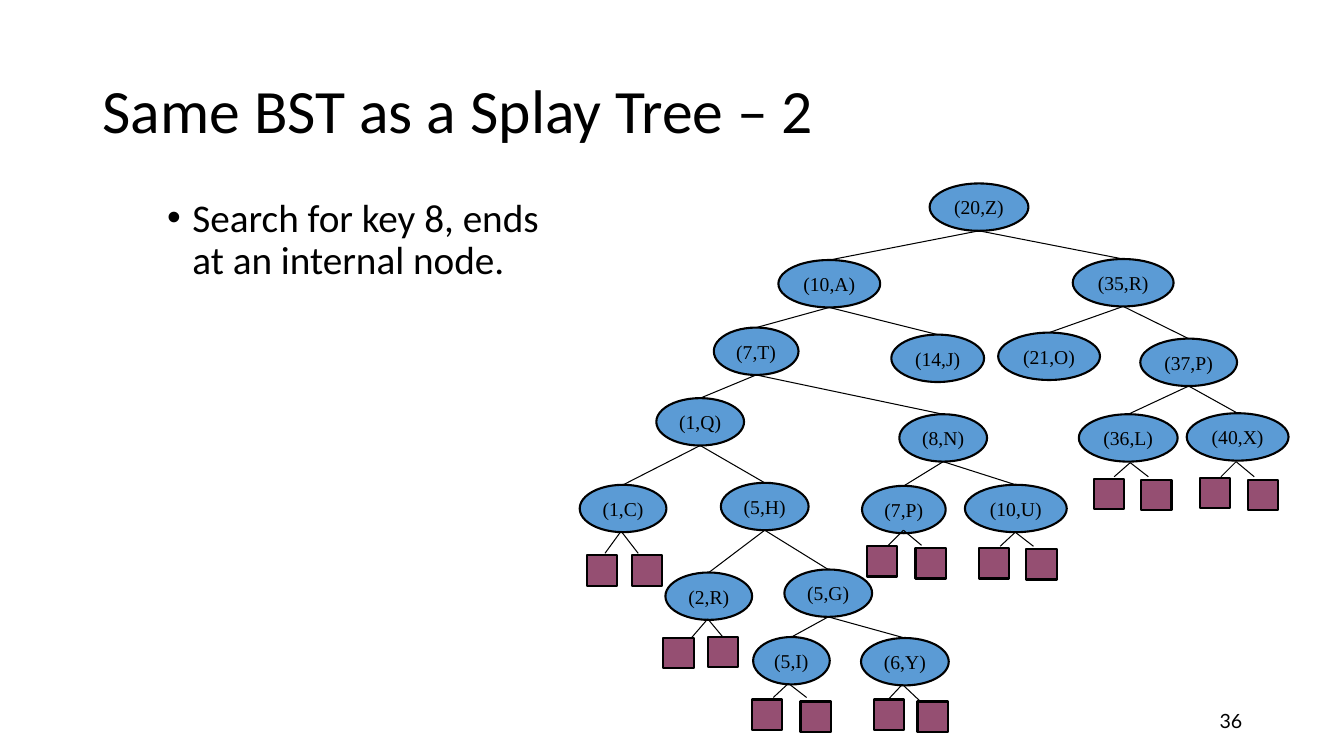
import pptx
import pptx.util
import pptx.dml.color
import pptx.enum.shapes
import pptx.enum.text
import lxml.etree

Inches = pptx.util.Inches
Pt = pptx.util.Pt
RGBColor = pptx.dml.color.RGBColor
Shape = pptx.enum.shapes.MSO_SHAPE
Anchor = pptx.enum.text.MSO_ANCHOR
Align = pptx.enum.text.PP_ALIGN

BLACK = RGBColor(0x00, 0x00, 0x00)
NODE_BLUE = RGBColor(0x5B, 0x9B, 0xD5)
LEAF_PLUM = RGBColor(0x95, 0x4F, 0x72)

SLIDE_SIZE = (13.33, 7.5)
NODE_HEIGHT = 0.47
LEAF_SIZE = 0.3

TEXTS = {
    "title": ("Same BST as a Splay Tree – 2", (0.92, 0.4, 11.5, 1.45)),
    "bullet": ("Search for key 8, ends at an internal node.", (1.56, 1.92, 3.91, 4.5)),
    "number": ("36", (9.42, 6.95, 3, 0.4)),
}
FORMATS = {
    "title": {
        "frame": {"word_wrap": True, "vertical_anchor": Anchor.MIDDLE},
        "paragraph": {"line_spacing": 0.9},
        "font": {"size": Pt(44), "name": "Calibri"},
    },
    "bullet": {
        "frame": {"word_wrap": True, "vertical_anchor": Anchor.TOP},
        "paragraph": {"line_spacing": 0.9, "space_before": Pt(10)},
        "font": {"size": Pt(28), "name": "Calibri"},
    },
    "number": {
        "frame": {"word_wrap": True, "vertical_anchor": Anchor.MIDDLE},
        "paragraph": {"alignment": Align.RIGHT},
        "font": {"size": Pt(14), "name": "Lato"},
    },
    "node": {
        "frame": {"word_wrap": False, "vertical_anchor": Anchor.MIDDLE},
        "paragraph": {"alignment": Align.CENTER},
        "font": {"size": Pt(14), "name": "Times New Roman"},
    },
}

# label: (parent, left, top, width)
NODES = {
    "(20,Z)": (None, 9.22, 1.82, 0.98),
    "(10,A)": ("(20,Z)", 7.72, 2.58, 1.01),
    "(35,R)": ("(20,Z)", 10.64, 2.57, 1),
    "(7,T)": ("(10,A)", 7.08, 3.25, 0.84),
    "(14,J)": ("(10,A)", 8.84, 3.32, 0.92),
    "(21,O)": ("(35,R)", 9.9, 3.3, 1.01),
    "(37,P)": ("(35,R)", 11.31, 3.36, 0.96),
    "(1,Q)": ("(7,T)", 6.51, 3.95, 0.87),
    "(8,N)": ("(7,T)", 8.92, 4.11, 0.87),
    "(36,L)": ("(37,P)", 10.7, 4.11, 0.98),
    "(40,X)": ("(37,P)", 11.77, 4.1, 1.01),
    "(1,C)": ("(1,Q)", 5.75, 4.81, 0.86),
    "(5,H)": ("(1,Q)", 7.15, 4.79, 0.87),
    "(7,P)": ("(8,N)", 8.55, 4.82, 0.83),
    "(10,U)": ("(8,N)", 9.57, 4.81, 1.01),
    "(2,R)": ("(5,H)", 6.6, 5.68, 0.86),
    "(5,G)": ("(5,H)", 7.78, 5.65, 0.87),
    "(5,I)": ("(5,G)", 7.47, 6.32, 0.76),
    "(6,Y)": ("(5,G)", 8.54, 6.33, 0.87),
}

# fork point, then (twig end, leaf corner) for the left and right leaf
LEAF_PAIRS = [
    ((6.16, 5.27), ((6, 5.49), (5.82, 5.51)), ((6.33, 5.49), (6.27, 5.51))),
    ((7.02, 6.14), ((6.83, 6.36), (6.58, 6.33)), ((7.17, 6.32), (7.02, 6.32))),
    ((7.82, 6.78), ((7.67, 6.92), (7.46, 6.94)), ((8, 6.92), (7.94, 6.96))),
    ((8.95, 6.79), ((8.79, 6.96), (8.67, 6.94)), ((9.13, 6.96), (9.1, 6.96))),
    ((12.26, 4.58), ((12.11, 4.73), (11.9, 4.74)), ((12.44, 4.73), (12.38, 4.76))),
    ((11.21, 4.59), ((11.05, 4.73), (10.85, 4.75)), ((11.39, 4.73), (11.32, 4.76))),
    ((10.07, 5.28), ((9.92, 5.42), (9.71, 5.44)), ((10.25, 5.42), (10.18, 5.45))),
    ((8.96, 5.26), ((8.81, 5.41), (8.6, 5.42)), ((9.14, 5.41), (9.08, 5.44))),
]


def inches(lengths):
    return [Inches(length) for length in lengths]


def apply(target, values):
    for name, value in values.items():
        setattr(target, name, value)


def write(shape, text, style):
    formats = FORMATS[style]
    paragraph = shape.text_frame.paragraphs[0]
    run = paragraph.add_run()
    run.text = text
    apply(shape.text_frame, formats["frame"])
    apply(paragraph, formats["paragraph"])
    apply(run.font, formats["font"])
    run.font.color.rgb = BLACK
    return paragraph


def add_bullet(paragraph):
    properties = paragraph._p.get_or_add_pPr()
    properties.set("marL", str(Inches(0.25)))
    properties.set("indent", str(Inches(-0.25)))
    for tag, key, value in (("a:buFont", "typeface", "Arial"), ("a:buChar", "char", "•")):
        lxml.etree.SubElement(properties, pptx.oxml.ns.qn(tag)).set(key, value)


def add_outlined(kind, box, color):
    shape = slide.shapes.add_shape(kind, *inches(box))
    shape.shadow.inherit = False
    shape.fill.solid()
    shape.fill.fore_color.rgb = color
    shape.line.color.rgb = BLACK
    shape.line.width = Pt(1.5)
    return shape


def add_branch(start, end):
    straight = pptx.enum.shapes.MSO_CONNECTOR.STRAIGHT
    connector = slide.shapes.add_connector(straight, *inches(start + end))
    connector.line.color.rgb = BLACK
    connector.line.width = Pt(0.75)
    lxml.etree.SubElement(connector._element.spPr, pptx.oxml.ns.qn("a:effectLst"))


def top_of(label):
    _, left, top, width = NODES[label]
    return (left + width / 2, top)


def bottom_of(label):
    center, top = top_of(label)
    return (center, top + NODE_HEIGHT)


presentation = pptx.Presentation()
presentation.slide_width, presentation.slide_height = inches(SLIDE_SIZE)
slide = presentation.slides.add_slide(presentation.slide_layouts[6])

for style, (text, box) in TEXTS.items():
    paragraph = write(slide.shapes.add_textbox(*inches(box)), text, style)
    if style == "bullet":
        add_bullet(paragraph)

for label, (parent, left, top, width) in NODES.items():
    node = add_outlined(Shape.OVAL, (left, top, width, NODE_HEIGHT), NODE_BLUE)
    write(node, label, "node")

for label, (parent, *_) in NODES.items():
    if parent:
        add_branch(bottom_of(parent), top_of(label))

for fork, *leaves in LEAF_PAIRS:
    for twig_end, corner in leaves:
        add_branch(fork, twig_end)
        add_outlined(Shape.RECTANGLE, corner + (LEAF_SIZE, LEAF_SIZE), LEAF_PLUM)

presentation.save("out.pptx")
